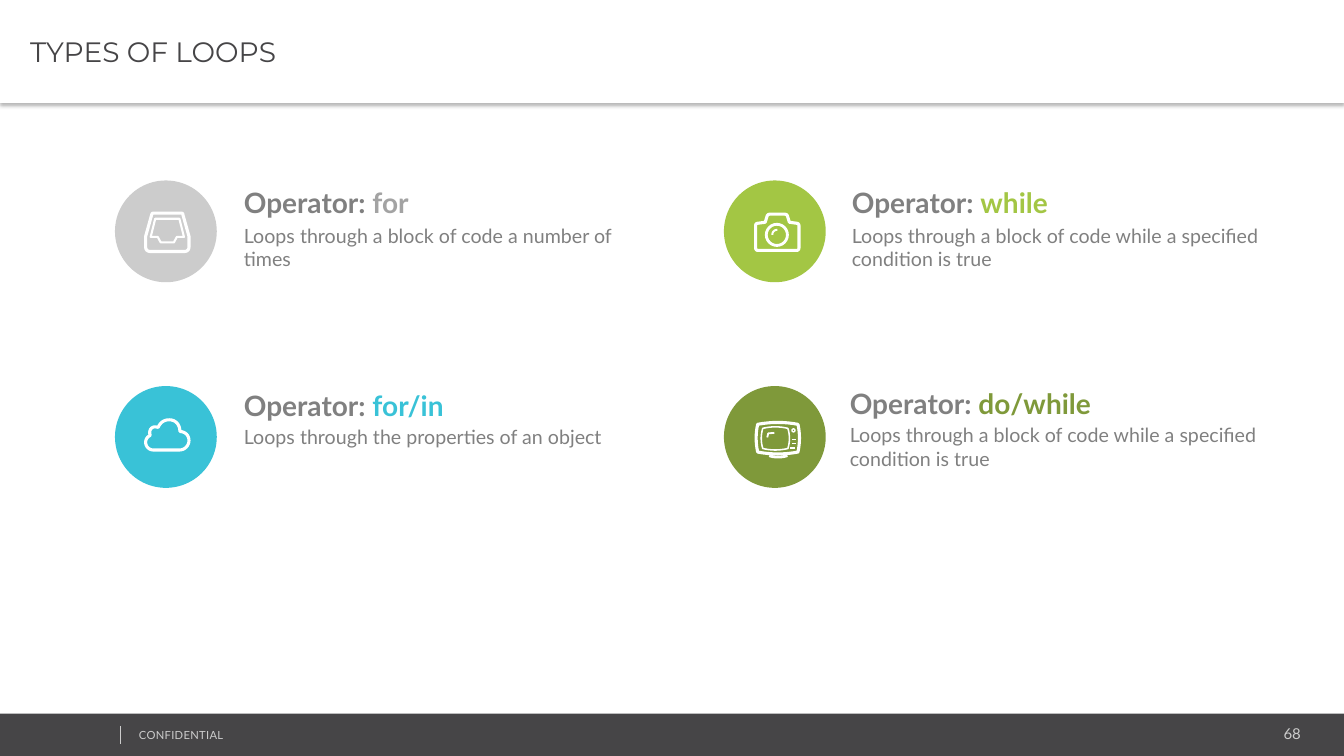
from lxml.etree import SubElement
from pptx import Presentation
from pptx.dml.color import RGBColor
from pptx.enum.shapes import MSO_CONNECTOR, MSO_SHAPE
from pptx.enum.text import MSO_ANCHOR, PP_ALIGN
from pptx.oxml import parse_xml
from pptx.oxml.ns import nsdecls, qn
from pptx.util import Inches, Pt

TITLE = "TYPES OF LOOPS"
FOOTER, PAGE = "CONFIDENTIAL", "68"
DARK, GREY, PALE, WHITE = "464547", "808080", "CCCCCC", "FFFFFF"
LOOPS_WHILE = "Loops through a block of code while a specified condition is true"

# Icons: hundredths of an inch from the corner of the disc; six numbers make a curve.
TRAY = {"paths": [
    (2.2, True, [(30.5, 55.5), (36.5, 34), (37, 32.5, 37.5, 32.5, 38, 32.5), (66, 32.5),
                 (67, 32.5, 67.5, 33, 67.5, 34), (73.5, 55.5), (73.5, 66),
                 (73.5, 69, 71.5, 70.5, 69, 70.5), (35, 70.5),
                 (32.5, 70.5, 30.5, 69, 30.5, 66)]),
    (1.5, True, [(35.5, 56), (40, 38), (64, 38), (68.5, 56), (61.5, 56),
                 (58.5, 61.5), (45.5, 61.5), (42.5, 56)]),
], "rings": []}
CAMERA = {"paths": [
    (2.2, True, [(31.5, 45), (31.5, 43, 32.5, 42.5, 34, 42.5), (41, 41.5), (43, 35),
                 (43.5, 34, 44.5, 33.5, 46, 33.5), (60, 33.5),
                 (61.5, 33.5, 62.5, 34, 63, 35), (65, 41.5), (72, 42.5),
                 (73.5, 42.5, 74.5, 43.5, 74.5, 45), (74.5, 67),
                 (74.5, 68.5, 73.5, 69.5, 72, 69.5), (34, 69.5),
                 (32.5, 69.5, 31.5, 68.5, 31.5, 67)]),
    (1.4, False, [(48, 54), (48, 51, 50, 49, 53, 49)]),
], "rings": [(2, 52.5, 54, 10.5)]}
CLOUD = {"paths": [
    (2.2, True, [(64, 63.5), (38, 63.5), (34, 63.5, 30.5, 60, 30.5, 56),
                 (30.5, 53, 32, 50.5, 35, 49), (33.5, 44, 36, 40.5, 40, 40.5), (43, 41),
                 (45, 36, 49, 33.5, 54, 33.5), (60, 33.5, 64.5, 38, 64.5, 45),
                 (70, 45.5, 73.5, 49, 73.5, 54), (73.5, 59, 69.5, 63.5, 64, 63.5)]),
], "rings": []}
TV = {"paths": [
    (2.2, True, [(33.5, 38), (47, 35.5, 60, 35.5, 73.5, 38), (75.5, 47, 75.5, 56, 73.5, 65.5),
                 (60, 68, 47, 68, 33.5, 65.5), (31.5, 56, 31.5, 47, 33.5, 38)]),
    (1.1, True, [(38.5, 42), (47, 40, 55, 40, 63.5, 42), (65.5, 49, 65.5, 55, 63.5, 62),
                 (55, 64, 47, 64, 38.5, 62), (36.5, 55, 36.5, 49, 38.5, 42)]),
    (1.3, False, [(43, 51), (44, 47), (50, 46.5)]),
    (2, False, [(45, 69), (49, 71, 58, 71, 63, 69)]),
    (1.1, False, [(67.5, 53), (72, 53)]),
    (1.1, False, [(67.5, 57), (72, 57)]),
    (1.1, False, [(66, 61.5), (70.5, 61.5)]),
], "rings": [(1, 69, 44, 1.5)]}

DISC = 1.01
COLUMNS, ROWS = (1.14, 7.18), (1.79, 3.83)
OPERATORS = [
    ("for", PALE, "A3A3A3", "Loops through a block of code a number of times", TRAY,
     (2.32, 1.79), (1.93, 4.11), 0.38),
    ("while", "A3C644", "A3C644", LOOPS_WHILE, CAMERA, (8.35, 1.79), (2.25, 4.33), 0.38),
    ("for/in", "39C2D7", "39C2D7", "Loops through the properties of an object", CLOUD,
     (2.32, 3.81), (2.25, 4.11), 0.36),
    ("do/while", "7F993A", "7F993A", LOOPS_WHILE, TV, (8.33, 3.79), (2.68, 4.33), 0.36),
]


def rgb(color):
    return RGBColor.from_string(color)


def add_solid(shapes, kind, color, *box):
    sp = shapes.add_shape(kind, *map(Inches, box))
    sp.shadow.inherit = False
    sp.fill.solid()
    sp.fill.fore_color.rgb = rgb(color)
    sp.line.fill.background()
    return sp


def add_text(shapes, box, runs, size, bold=None, wrap=True):
    tf = shapes.add_textbox(*map(Inches, box)).text_frame
    tf.word_wrap = wrap
    p = tf.paragraphs[0]
    p.font.size, p.font.name, p.font.bold = Pt(size), "Lato", bold
    for text, color in runs:
        r = p.add_run()
        r.text = text
        r.font.color.rgb = rgb(color)
    return p


def flatten(points, steps=8):
    result = [points[0]]
    for point in points[1:]:
        if len(point) == 2:
            result.append(point)
            continue
        curve = (result[-1], point[:2], point[2:4], point[4:])
        for i in range(1, steps + 1):
            t = i / steps
            weights = ((1 - t) ** 3, 3 * t * (1 - t) ** 2, 3 * t * t * (1 - t), t ** 3)
            result.append(tuple(sum(w * c[axis] for w, c in zip(weights, curve))
                                for axis in (0, 1)))
    return result


def set_stroke(sp, width):
    sp.shadow.inherit = False
    sp.fill.background()
    sp.line.color.rgb = rgb(WHITE)
    sp.line.width = Pt(width)


def add_icon(shapes, icon, left, top):
    for width, closed, points in icon["paths"]:
        dots = [(Inches(left + x / 100), Inches(top + y / 100)) for x, y in flatten(points)]
        builder = shapes.build_freeform(*dots[0])
        builder.add_line_segments(dots[1:], close=closed)
        set_stroke(builder.convert_to_shape(), width)
    for width, x, y, radius in icon["rings"]:
        box = (left + (x - radius) / 100, top + (y - radius) / 100, radius / 50, radius / 50)
        set_stroke(shapes.add_shape(MSO_SHAPE.OVAL, *map(Inches, box)), width)


def add_title(s):
    title = s.shapes.title
    title.left, title.top, title.width, title.height = map(Inches, (0, 0, 13.33, 1.02))
    title.fill.solid()
    title.fill.fore_color.rgb = rgb(WHITE)
    title._element.spPr.append(parse_xml(
        f'<a:effectLst {nsdecls("a")}><a:outerShdw blurRad="39370" dist="25400" dir="5400000"'
        ' algn="t" rotWithShape="0"><a:srgbClr val="000000"><a:alpha val="30000"/>'
        '</a:srgbClr></a:outerShdw></a:effectLst>'))
    tf = title.text_frame
    tf.text = TITLE
    tf.vertical_anchor = MSO_ANCHOR.MIDDLE
    tf.margin_left, tf.margin_top, tf.margin_right, tf.margin_bottom = map(
        Inches, (0.3, 0.04, 0.07, 0.04))
    p = tf.paragraphs[0]
    p.alignment = PP_ALIGN.LEFT
    p.font.size, p.font.name, p.font.color.rgb = Pt(20), "Montserrat", rgb(DARK)


def add_footer(s):
    add_solid(s.shapes, MSO_SHAPE.RECTANGLE, DARK, 0, 7.08, 13.33, 0.42)
    add_text(s.shapes, (10.82, 7.14, 2.18, 0.28), [(PAGE, PALE)], 10.7).alignment = PP_ALIGN.RIGHT
    p = add_text(s.shapes, (1.28, 7.18, 3.38, 0.24), [(FOOTER, PALE)], 8)
    p.runs[0]._r.get_or_add_rPr().set("spc", "20")
    rule = s.shapes.add_connector(MSO_CONNECTOR.STRAIGHT, *map(Inches, (1.19, 7.2, 1.19, 7.38)))
    rule.line.color.rgb = rgb(PALE)
    rule.line.width = Pt(0.25)
    SubElement(rule._element.spPr, qn("a:effectLst"))


def add_operator(s, index, operator):
    name, disc_color, name_color, description, icon, (x, y), (name_w, text_w), gap = operator
    row, column = divmod(index, len(COLUMNS))
    left, top = COLUMNS[column], ROWS[row]
    shapes = s.shapes.add_group_shape().shapes
    add_solid(shapes, MSO_SHAPE.OVAL, disc_color, left, top, DISC, DISC)
    add_icon(shapes, icon, left, top)
    add_text(shapes, (x, y, name_w, 0.44), [("Operator: ", GREY), (name, name_color)],
             20, bold=True, wrap=False)
    add_text(shapes, (x, y + gap, text_w, 0.71), [(description, GREY)], 14)


def main():
    prs = Presentation()
    prs.slide_width, prs.slide_height = Inches(13.33), Inches(7.5)
    s = prs.slides.add_slide(prs.slide_layouts[5])
    add_title(s)
    add_footer(s)
    for index, operator in enumerate(OPERATORS):
        add_operator(s, index, operator)
    prs.save("out.pptx")


if __name__ == "__main__":
    main()
